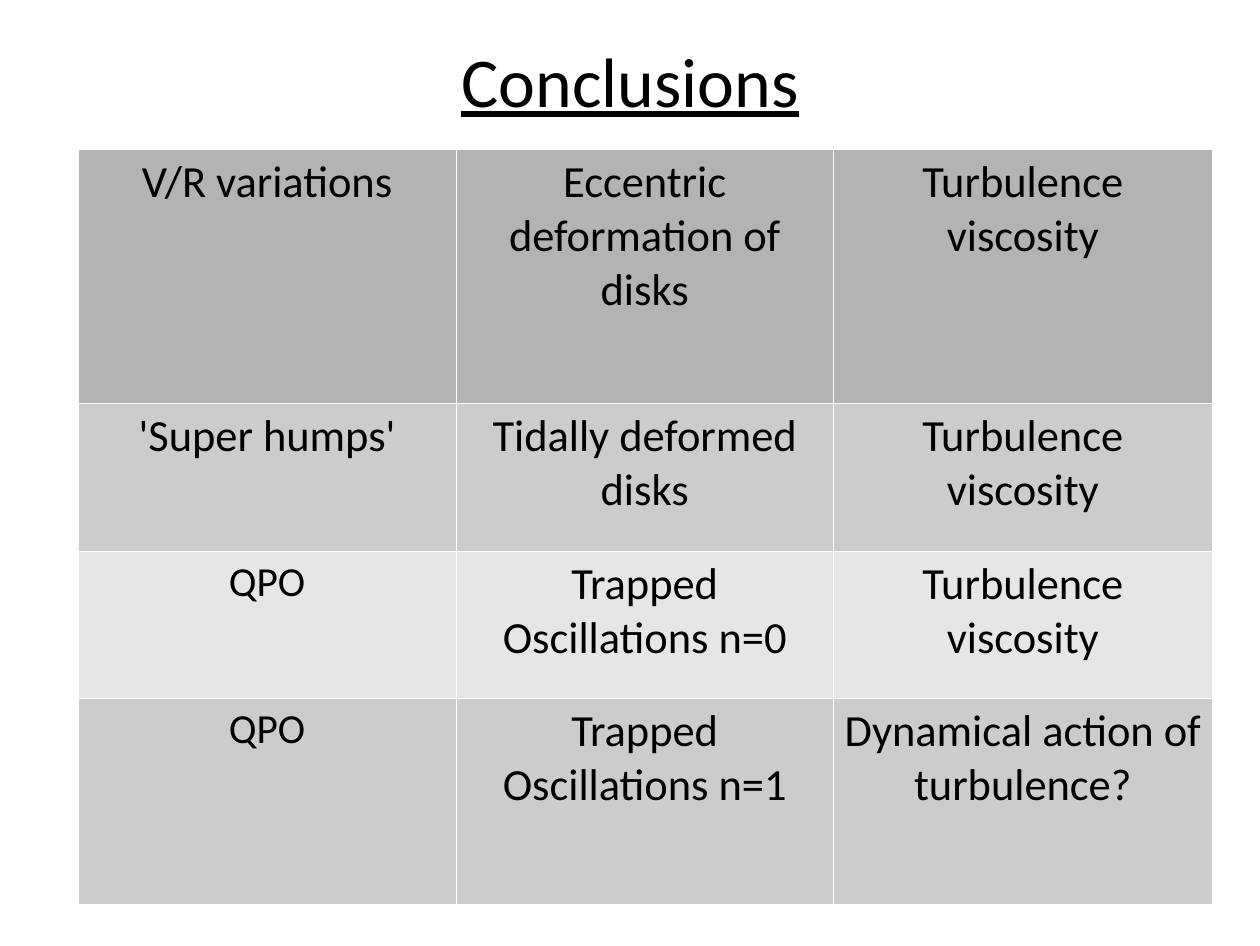
from dataclasses import dataclass
from typing import NamedTuple

from lxml import etree
from pptx import Presentation
from pptx.dml.color import RGBColor
from pptx.enum.text import MSO_ANCHOR, PP_ALIGN
from pptx.oxml.ns import qn
from pptx.util import Emu, Inches, Pt

CENTER = PP_ALIGN.CENTER
MIDDLE = MSO_ANCHOR.MIDDLE
EMU_PER_PIXEL = 8000
BORDER_SIDES = ("a:lnL", "a:lnR", "a:lnT", "a:lnB")


@dataclass(frozen=True)
class Theme:
    """Colours, font and type sizes of the slide."""
    font: str = "Calibri"
    ink: str = "000000"
    border: str = "FFFFFF"
    header: str = "B3B3B3"
    dark_band: str = "CCCCCC"
    light_band: str = "E6E6E6"
    title_size: int = 44
    body_size: int = 28
    small_size: int = 26
    border_width: float = 0.06


class Finding(NamedTuple):
    """One table row: phenomenon, disk behaviour and cause."""
    height: int
    fill: str
    label_size: int
    texts: tuple[str, str, str]


THEME = Theme()
TITLE_AREA = (63, 0, 1134, 158)
TABLE_ORIGIN = (78, 149)
COLUMN_WIDTHS = (378, 377, 379)
FINDINGS = (
    Finding(254, THEME.header, THEME.body_size,
            ("V/R variations", "Eccentric deformation of disks", "Turbulence viscosity")),
    Finding(148, THEME.dark_band, THEME.body_size,
            ("'Super humps'", "Tidally deformed disks", "Turbulence viscosity")),
    Finding(147, THEME.light_band, THEME.small_size,
            ("QPO", "Trapped Oscillations n=0", "Turbulence viscosity")),
    Finding(206, THEME.dark_band, THEME.small_size,
            ("QPO", "Trapped Oscillations n=1", "Dynamical action of turbulence?")),
)


def px(pixels: int) -> Emu:
    """Turn pixels into EMU."""
    return Emu(pixels * EMU_PER_PIXEL)


def write_centered(frame, text: str, size: int, underline: bool = False) -> None:
    """Write one centred run into a text frame."""
    frame.word_wrap = True
    para = frame.paragraphs[0]
    para.alignment = CENTER
    span = para.add_run()
    span.text = text
    span.font.name = THEME.font
    span.font.size = Pt(size)
    span.font.bold = False
    span.font.underline = underline
    span.font.color.rgb = RGBColor.from_string(THEME.ink)


def style_cell(cell, fill: str) -> None:
    """Give a cell thin borders on all sides and a solid fill."""
    properties = cell._tc.get_or_add_tcPr()
    for side in BORDER_SIDES:
        line = etree.SubElement(properties, qn(side), w=str(Pt(THEME.border_width)))
        solid = etree.SubElement(line, qn("a:solidFill"))
        etree.SubElement(solid, qn("a:srgbClr"), val=THEME.border)
    cell.fill.solid()
    cell.fill.fore_color.rgb = RGBColor.from_string(fill)


def add_title(page, text: str) -> None:
    """Add the underlined heading."""
    box = page.shapes.add_textbox(*map(px, TITLE_AREA))
    frame = box.text_frame
    frame.margin_left = frame.margin_right = frame.margin_top = frame.margin_bottom = 0
    frame.vertical_anchor = MIDDLE
    write_centered(frame, text, THEME.title_size, underline=True)


def add_findings(page, findings: tuple[Finding, ...]) -> None:
    """Add the table of findings."""
    size = (sum(COLUMN_WIDTHS), sum(finding.height for finding in findings))
    table = page.shapes.add_table(
        len(findings), len(COLUMN_WIDTHS), *map(px, TABLE_ORIGIN + size)).table
    for column, width in zip(table.columns, COLUMN_WIDTHS):
        column.width = px(width)
    for row, finding in zip(table.rows, findings):
        row.height = px(finding.height)
        sizes = (finding.label_size, THEME.body_size, THEME.body_size)
        for cell, text, text_size in zip(row.cells, finding.texts, sizes):
            style_cell(cell, finding.fill)
            write_centered(cell.text_frame, text, text_size)


def main() -> None:
    """Build and save the deck."""
    deck = Presentation()
    deck.slide_width = Inches(11.02)
    deck.slide_height = Inches(8.27)
    page = deck.slides.add_slide(deck.slide_layouts[6])
    add_title(page, "Conclusions")
    add_findings(page, FINDINGS)
    deck.save("out.pptx")


main()
